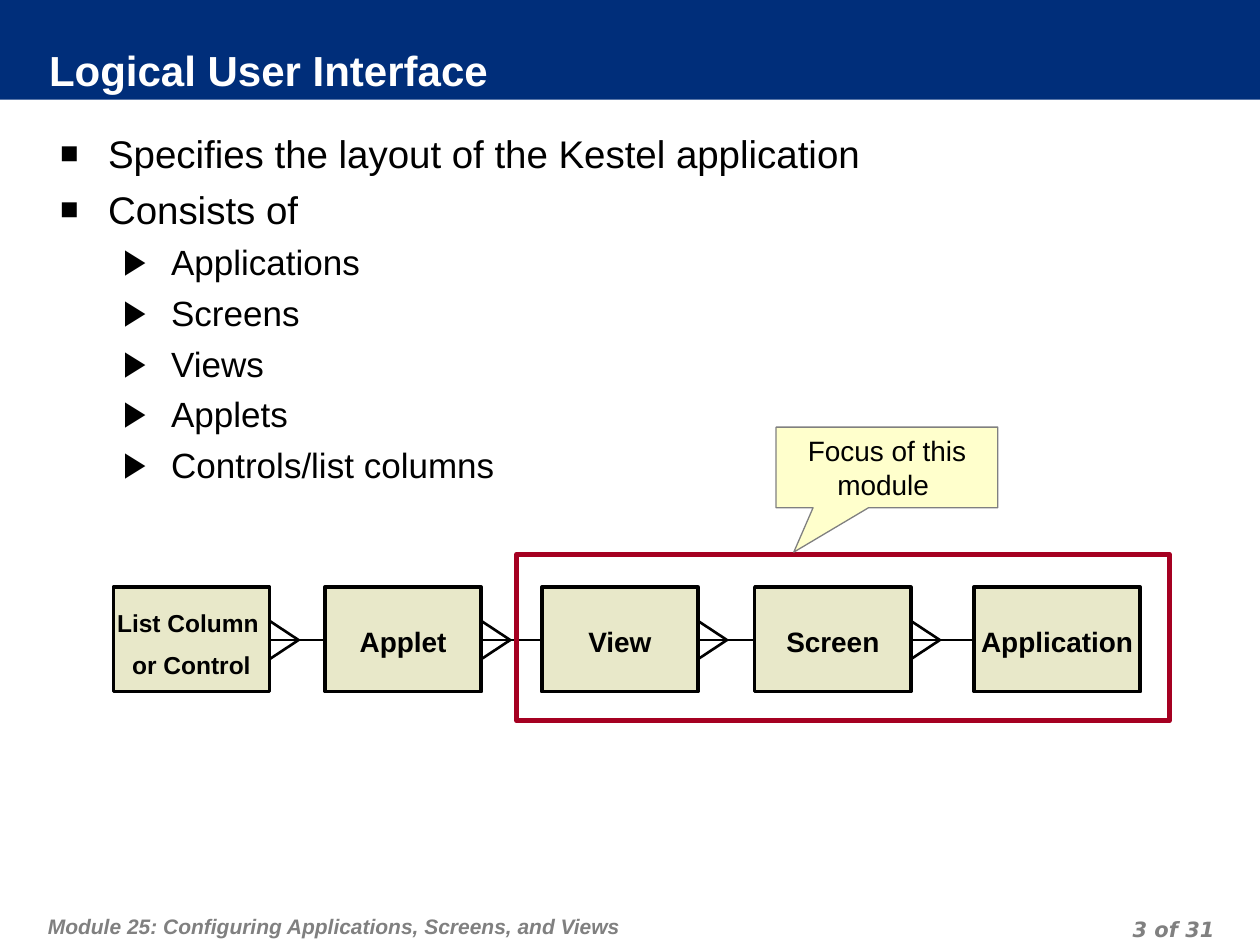
"""Build the Logical User Interface slide."""

from dataclasses import dataclass

from lxml.etree import SubElement
from pptx import Presentation
from pptx.dml.color import RGBColor
from pptx.enum.shapes import MSO_CONNECTOR as Connector
from pptx.enum.shapes import MSO_SHAPE as Shape
from pptx.enum.text import MSO_ANCHOR as Anchor
from pptx.enum.text import PP_ALIGN as Align
from pptx.oxml.ns import qn
from pptx.util import Inches, Pt

NAVY = RGBColor(0x00, 0x2E, 0x7A)
WHITE = RGBColor(0xFF, 0xFF, 0xFF)
BLACK = RGBColor(0x00, 0x00, 0x00)
GRAY = RGBColor(0x80, 0x80, 0x80)
BEIGE = RGBColor(0xE8, 0xE8, 0xC9)
CRIMSON = RGBColor(0xA5, 0x00, 0x21)
CREAM = RGBColor(0xFF, 0xFF, 0xCC)

ENTITY_TOP = 4.66
ENTITY_HEIGHT = 0.83
MIDDLE = 5.08
DIAMOND_WIDTH = 0.5
DIAMOND_HEIGHT = 0.33
DIAMOND_OVERLAP = 0.27


@dataclass(frozen=True)
class Style:
    size: float
    color: RGBColor = BLACK
    bold: bool = False
    italic: bool = False
    font: str = "Arial"
    align: Align = Align.LEFT
    leading: float | None = None
    gap: float = 0


@dataclass(frozen=True)
class Level:
    size: float
    gap: float
    indent: float
    bullet: str
    percent: int


@dataclass(frozen=True)
class Entity:
    text: str
    left: float
    width: float = 1.24
    size: float = 16

    @property
    def right(self) -> float:
        return self.left + self.width


TOP_LEVEL = Level(22, 5.5, 0.38, "■", 80)
SUB_LEVEL = Level(20, 5, 0.88, "▶", 100)
BULLETS = [
    ("Specifies the layout of the Kestel application", TOP_LEVEL),
    ("Consists of", TOP_LEVEL),
    ("Applications", SUB_LEVEL),
    ("Screens", SUB_LEVEL),
    ("Views", SUB_LEVEL),
    ("Applets", SUB_LEVEL),
    ("Controls/list columns", SUB_LEVEL),
]
ENTITIES = [
    Entity("List Column \nor Control", 0.9, size=14),
    Entity("Applet", 2.58),
    Entity("View", 4.3),
    Entity("Screen", 5.99),
    Entity("Application", 7.73, width=1.32),
]


def write(box, text: str, style: Style, insets: tuple, anchor=Anchor.TOP, wrap=True) -> None:
    """Fill a box with uniformly styled text."""
    frame = box.text_frame
    frame.text = text
    frame.word_wrap = wrap
    frame.vertical_anchor = anchor
    frame.margin_left, frame.margin_top, frame.margin_right, frame.margin_bottom = map(Inches, insets)
    for index, para in enumerate(frame.paragraphs):
        para.alignment = style.align
        if style.leading:
            para.line_spacing = Pt(style.leading)
        if index and style.gap:
            para.space_before = Pt(style.gap)
        for span in para.runs:
            font = span.font
            font.name, font.size = style.font, Pt(style.size)
            font.bold, font.italic = style.bold, style.italic
            font.color.rgb = style.color


def add_text(page, area: tuple, text: str, style: Style, insets: tuple, anchor=Anchor.TOP):
    """Add a text box and return it."""
    box = page.shapes.add_textbox(*map(Inches, area))
    write(box, text, style, insets, anchor)
    return box


def add_panel(page, kind: Shape, area: tuple, fill: RGBColor | None = None,
              line: RGBColor | None = None, weight: float = 0):
    """Add a flat preset shape and return it."""
    panel = page.shapes.add_shape(kind, *map(Inches, area))
    panel.shadow.inherit = False
    if fill is None:
        panel.fill.background()
    else:
        panel.fill.solid()
        panel.fill.fore_color.rgb = fill
    if line is None:
        panel.line.fill.background()
    else:
        panel.line.color.rgb = line
        panel.line.width = Pt(weight)
    return panel


def add_bullets(page) -> None:
    """Add the two-level bullet list."""
    text = "\n".join(text for text, _ in BULLETS)
    box = add_text(page, (0.38, 0.93, 9.3, 6.18), text, Style(22), (0.1, 0.1, 0.1, 0.05))
    for index, (para, (_, level)) in enumerate(zip(box.text_frame.paragraphs, BULLETS)):
        props = para._p.get_or_add_pPr()
        props.set("marL", str(Inches(level.indent)))
        props.set("indent", str(Inches(-0.38)))
        color = SubElement(props, qn("a:buClr"))
        SubElement(color, qn("a:srgbClr"), val=str(BLACK))
        SubElement(props, qn("a:buSzPct"), val=str(level.percent * 1000))
        SubElement(props, qn("a:buFont"), typeface="Arial")
        SubElement(props, qn("a:buChar"), char=level.bullet)
        if level is SUB_LEVEL:
            para.level = 1
        if index:
            para.space_before = Pt(level.gap)
        for span in para.runs:
            span.font.size = Pt(level.size)


def add_relation(page, source: Entity, target: Entity) -> None:
    """Link two entities with a crow's foot at the source."""
    add_panel(page, Shape.DIAMOND,
              (source.right - DIAMOND_OVERLAP, MIDDLE - DIAMOND_HEIGHT / 2,
               DIAMOND_WIDTH, DIAMOND_HEIGHT), line=BLACK, weight=1.5)
    link = page.shapes.add_connector(
        Connector.STRAIGHT, Inches(target.left), Inches(MIDDLE), Inches(source.right), Inches(MIDDLE))
    link.line.color.rgb = BLACK
    link.line.width = Pt(1.5)
    SubElement(link._element.spPr, qn("a:effectLst"))


def add_entity(page, entity: Entity) -> None:
    """Add one labelled entity box."""
    box = add_panel(page, Shape.RECTANGLE,
                    (entity.left, ENTITY_TOP, entity.width, ENTITY_HEIGHT), BEIGE, BLACK, 2)
    style = Style(entity.size, bold=True, align=Align.CENTER, leading=18, gap=6)
    write(box, entity.text, style, (0.05, 0.1, 0.05, 0.05), Anchor.MIDDLE, wrap=False)


def main() -> None:
    """Assemble and save the deck."""
    deck = Presentation()
    deck.slide_width, deck.slide_height = Inches(10), Inches(7.5)
    page = deck.slides.add_slide(deck.slide_layouts[6])

    add_panel(page, Shape.RECTANGLE, (0, 0, 10, 0.79), NAVY)
    add_text(page, (0.33, 7.1, 6.18, 0.4), "Module 25: Configuring Applications, Screens, and Views",
             Style(12, GRAY, True, True, leading=18), (0.05, 0.1, 0.05, 0.05))
    add_text(page, (7.36, 7.22, 2.33, 0.25), "3 of 31",
             Style(12, GRAY, True, True, "DejaVu Sans", Align.RIGHT, 18), (0.05, 0, 0.05, 0))
    add_text(page, (0.39, 0.38, 9.17, 0.4), "Logical User Interface",
             Style(24, WHITE, True), (0, 0, 0.05, 0.05), Anchor.MIDDLE)
    add_bullets(page)

    for source, target in zip(ENTITIES, ENTITIES[1:]):
        add_relation(page, source, target)
    for entity in ENTITIES:
        add_entity(page, entity)

    add_panel(page, Shape.RECTANGLE, (4.1, 4.4, 5.18, 1.32), line=CRIMSON, weight=3)
    callout = add_panel(page, Shape.RECTANGULAR_CALLOUT, (6.16, 3.39, 1.76, 0.64), CREAM, GRAY, 0.75)
    callout.adjustments[0], callout.adjustments[1] = -0.42, 1.05
    write(callout, "Focus of this module ", Style(16, align=Align.CENTER),
          (0.1, 0.05, 0.1, 0.05), Anchor.MIDDLE)
    deck.save("out.pptx")


if __name__ == "__main__":
    main()
